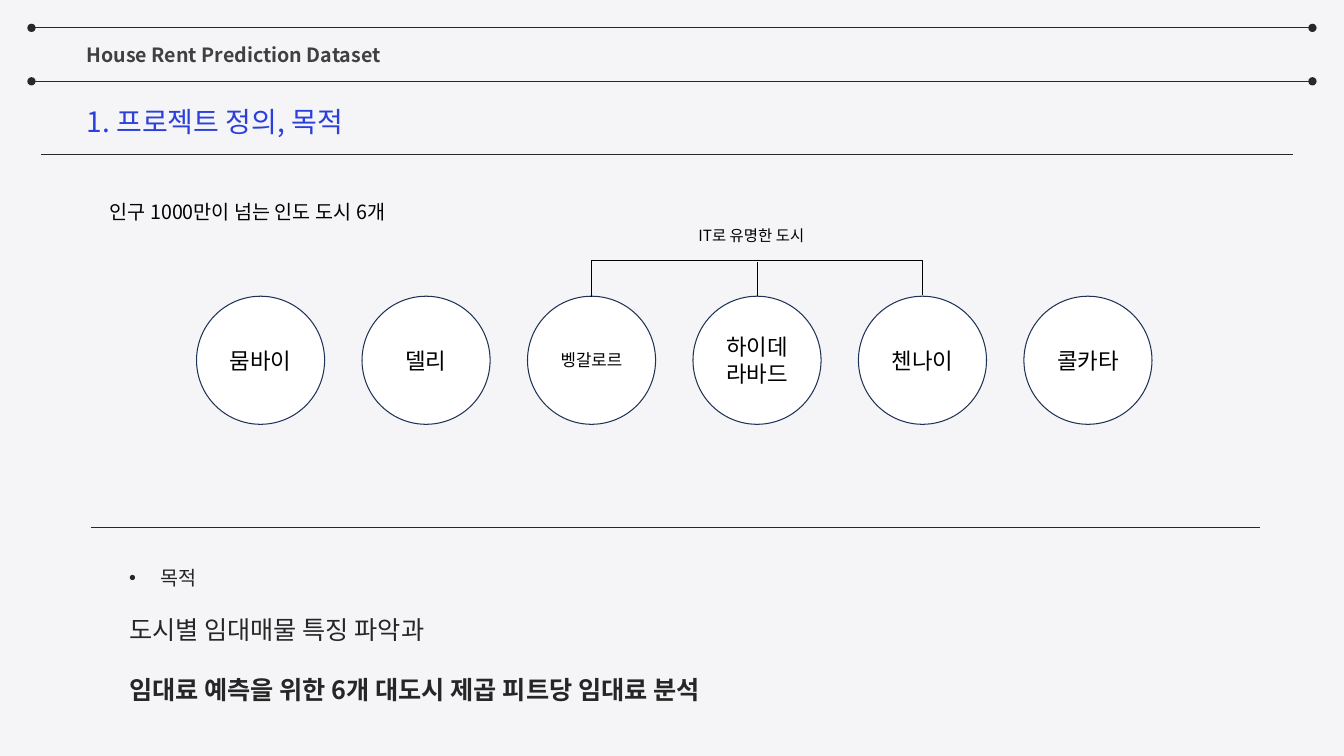
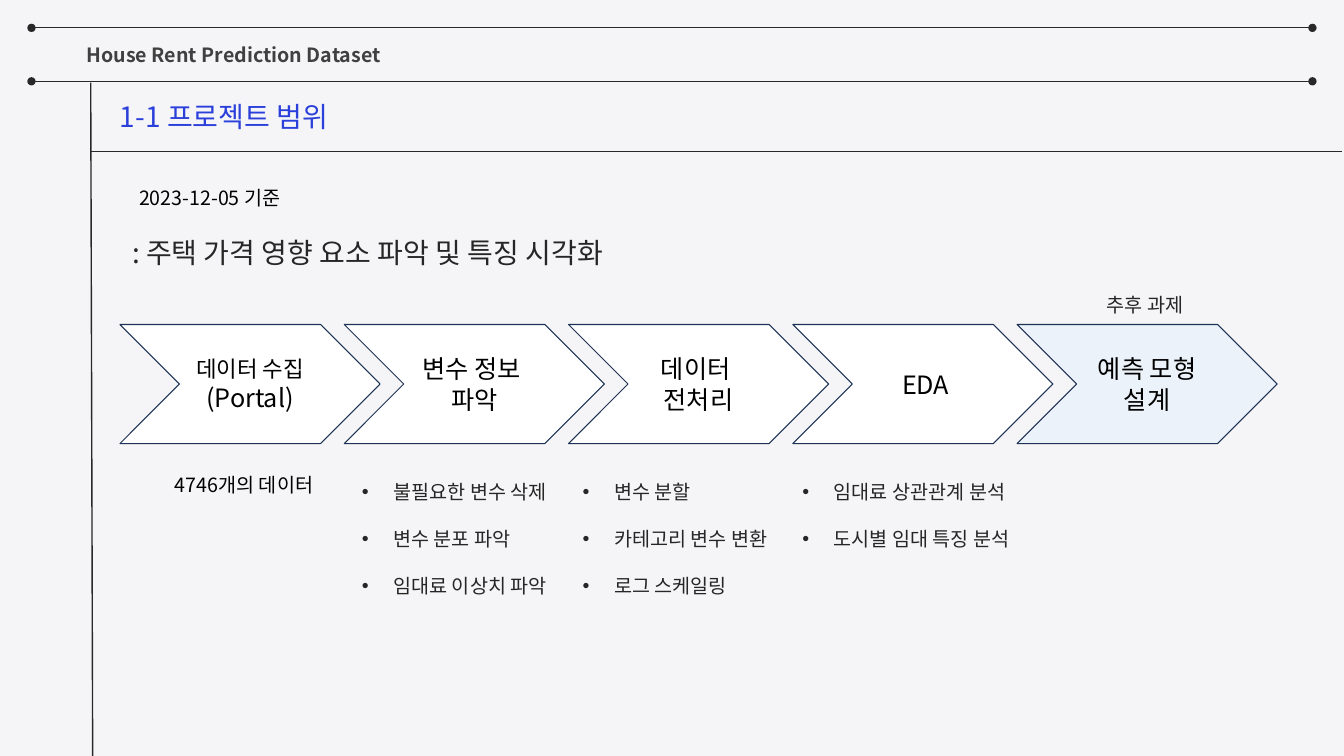
"""Build two slides on the aim and scope of a house rent project."""
from lxml import etree
from pptx import Presentation
from pptx import util as u
from pptx.dml.color import RGBColor
from pptx.enum import shapes as es, text as et
from pptx.oxml.ns import qn

Pt = u.Pt
FONT = "Noto Sans CJK KR"
PAPER = RGBColor(0xF5, 0xF5, 0xF7)
RULE = RGBColor(0x28, 0x28, 0x28)
GREY = RGBColor(0x40, 0x40, 0x40)
BLUE = RGBColor(0x2B, 0x40, 0xDB)
INK = RGBColor(0x26, 0x26, 0x26)
BLACK = RGBColor(0, 0, 0)
WHITE = RGBColor(0xFF, 0xFF, 0xFF)
NAVY = RGBColor(0x1E, 0x32, 0x56)
PALE = RGBColor(0xE0, 0xEF, 0xFE)
LEFT, MID = et.PP_ALIGN.LEFT, et.PP_ALIGN.CENTER

HEAD = "House Rent Prediction Dataset"
CITIES = [("뭄바이", 16), ("델리", 16), ("벵갈로르", 12),
          ("하이데라바드", 16), ("첸나이", 16), ("콜카타", 16)]
AIM = ["도시별 임대매물 특징 파악과",
       "임대료 예측을 위한 6개 대도시 제곱 피트당 임대료 분석"]
STEPS = [["데이터 수집", "(Portal)"], ["변수 정보 ", "파악"],
         ["데이터 ", "전처리"], [" EDA"], ["예측 모형", "설계"]]
TASKS = [
    (251.3, 164, ["불필요한 변수 삭제", "변수 분포 파악", "임대료 이상치 파악"]),
    (409, 164, ["변수 분할", "카테고리 변수 변환", "로그 스케일링"]),
    (565.9, 380, ["임대료 상관관계 분석", "도시별 임대 특징 분석"]),
]


def place(shp, x, y, w, h):
    shp.left, shp.top, shp.width, shp.height = map(Pt, (x, y, w, h))


def write(shp, lines, size, color, bold=False, align=LEFT, space=1, dot=False):
    frame = shp.text_frame
    frame.text = "\n".join(lines)
    frame.word_wrap = True
    for par in frame.paragraphs:
        par.alignment, par.line_spacing = align, space
        par.space_before = par.space_after = Pt(0)
        props = par._p.get_or_add_pPr()
        props.set("marL", str(Pt(22.5) if dot else 0))
        props.set("indent", str(-Pt(22.5) if dot else 0))
        if dot:
            etree.SubElement(props, qn("a:buFont"), typeface="Arial")
            etree.SubElement(props, qn("a:buChar"), char="•")
        else:
            etree.SubElement(props, qn("a:buNone"))
        for run in par.runs:
            font = run.font
            font.size, font.bold, font.name = Pt(size), bold, FONT
            font.color.rgb = color
            etree.SubElement(run._r.get_or_add_rPr(), qn("a:ea"), typeface=FONT)


def block(shp, box, lines, size, color, **style):
    place(shp, *box)
    write(shp, lines, size, color, **style)
    shp.text_frame.vertical_anchor = et.MSO_ANCHOR.TOP
    shp.text_frame.auto_size = et.MSO_AUTO_SIZE.SHAPE_TO_FIT_TEXT


def label(slide, box, line, size, color, **style):
    shp = slide.shapes.add_textbox(*map(Pt, box))
    block(shp, box, [line], size, color, **style)


def rule(slide, x1, y1, x2, y2, wide=1, color=RULE, ends=False,
         kind=es.MSO_CONNECTOR.STRAIGHT):
    line = slide.shapes.add_connector(kind, *map(Pt, (x1, y1, x2, y2)))
    line.line.width, line.line.color.rgb = Pt(wide), color
    if ends:
        for tag in ("a:headEnd", "a:tailEnd"):
            etree.SubElement(line.line._get_or_add_ln(), qn(tag), type="oval")
    etree.SubElement(line._element.spPr, qn("a:effectLst"))
    return line


def bracket(slide, x1, x2, y, rise):
    span = x2 - x1
    line = rule(slide, x1, y, x2, y, 0.5, BLACK, kind=es.MSO_CONNECTOR.ELBOW)
    place(line, (x1 + x2 - 1) / 2, y - span / 2, 1, span)
    props = line._element.spPr
    frame = props.find(qn("a:xfrm"))
    for key, val in (("rot", "5400000"), ("flipH", "1"), ("flipV", "1")):
        frame.set(key, val)
    adj = props.find(qn("a:prstGeom")).find(qn("a:avLst"))
    etree.SubElement(adj, qn("a:gd"), name="adj1", fmla=f"val {rise * 100000}")


def figure(slide, kind, box, lines, size, fill=WHITE):
    shp = slide.shapes.add_shape(kind, *map(Pt, box))
    shp.shadow.inherit = False
    shp.fill.solid()
    shp.fill.fore_color.rgb = fill
    shp.line.color.rgb, shp.line.width = NAVY, Pt(0.75)
    write(shp, lines, size, BLACK, align=MID)
    shp.text_frame.vertical_anchor = et.MSO_ANCHOR.MIDDLE
    return shp


def start(deck, layout, title, x, y):
    slide = deck.slides.add_slide(deck.slide_layouts[layout])
    block(slide.shapes.title, (x, y, 391.7, 31.5), [title], 20, BLUE)
    label(slide, (54.7, 27.4, 238.3, 24.2), HEAD, 14, GREY, bold=True)
    for top in (58.1, 19.9):
        rule(slide, 22.5, top, 937.5, top, 0.75, ends=True)
    return slide


def purpose(deck):
    slide = start(deck, 3, "1. 프로젝트 정의, 목적", 54.7, 71.3)
    rule(slide, 29.5, 110.2, 923.8, 110.2)
    rule(slide, 64.8, 376.6, 900, 376.6)
    hold = slide.placeholders
    block(hold[1], (85, 383.8, 437, 29.5), ["목적"], 14, INK, space=2, dot=True)
    block(hold[2], (85, 413.3, 781, 87.8), AIM, 18, INK, space=2)
    hold[2].text_frame.paragraphs[1].runs[0].font.bold = True

    left, top, size, step = 140.4, 211.6, 91.5, 118.2
    ovals = [figure(slide, es.MSO_SHAPE.OVAL,
                    (left + i * step, top, size, size), [city], pts)
             for i, (city, pts) in enumerate(CITIES)]
    mid = left + 3 * step + size / 2
    bracket(slide, mid - step, mid + step, top, 26)
    drop = rule(slide, mid, top, mid, 187.2, 0.5, BLACK)
    drop.begin_connect(ovals[3], 0)
    label(slide, (71.3, 139, 479.5, 24.2),
          "인구 1000만이 넘는 인도 도시 6개", 14, BLACK)
    label(slide, (480.2, 157.7, 113, 20.9), "IT로 유명한 도시", 11, BLACK, align=MID)


def scope(deck):
    slide = start(deck, 4, "1-1 프로젝트 범위", 78.5, 67.7)
    rule(slide, 64.8, 59, 66.2, 540)
    rule(slide, 64.8, 108.2, 958.3, 108.2)
    hold = slide.placeholders
    block(hold[1], (87.1, 140.4, 437, 97), [": 주택 가격 영향 요소 파악 및 특징 시각화"],
          20, INK, space=2)
    for i, (x, wide, lines) in enumerate(TASKS):
        block(hold[i + 2], (x, 322.6, wide, 104), lines, 14, INK,
              space=2, dot=True)

    steps = [figure(slide, es.MSO_SHAPE.CHEVRON,
                    (85.7 + i * 160.2, 231.8, 185.8, 85), lines, 18)
             for i, lines in enumerate(STEPS)]
    steps[0].text_frame.paragraphs[0].runs[0].font.size = Pt(16)
    last = steps[-1]
    last.fill.fore_color.rgb = PALE
    tint = last._element.spPr.find(qn("a:solidFill"))[0]
    etree.SubElement(tint, qn("a:alpha"), val="45000")

    label(slide, (783.4, 188.6, 85.7, 69.8), "추후 과제", 14, INK, space=2)
    label(slide, (92.2, 334.1, 164.2, 24.2), "4746개의 데이터", 14, BLACK, align=MID)
    label(slide, (92.2, 129.6, 164.2, 24.2), "2023-12-05 기준", 14, BLACK)


def main():
    deck = Presentation()
    deck.slide_width, deck.slide_height = Pt(960), Pt(540)
    back = deck.slide_master.background.fill
    back.solid()
    back.fore_color.rgb = PAPER
    purpose(deck)
    scope(deck)
    deck.save("out.pptx")


if __name__ == "__main__":
    main()
